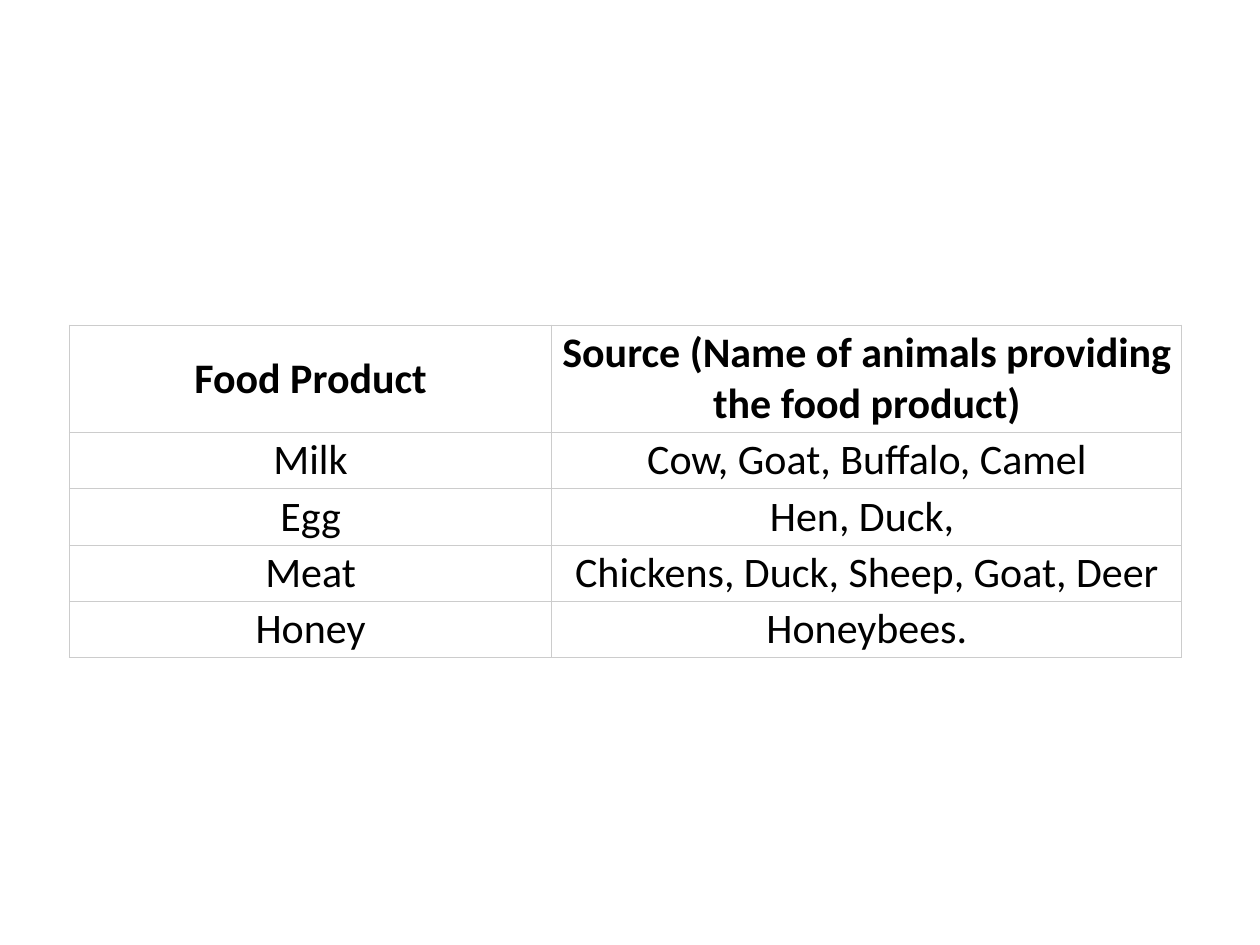
from dataclasses import dataclass

from lxml import etree
from pptx import Presentation
from pptx.dml.color import RGBColor
from pptx.enum.text import MSO_ANCHOR, PP_ALIGN
from pptx.oxml.ns import qn
from pptx.util import Inches, Pt

CENTER = PP_ALIGN.CENTER
MIDDLE, BOTTOM = MSO_ANCHOR.MIDDLE, MSO_ANCHOR.BOTTOM


@dataclass(frozen=True)
class Theme:
    """Colours, type and line sizes of the slide."""
    font: str = "Calibri"
    size: int = 24
    text: str = "000000"
    paper: str = "FFFFFF"
    border: str = "CCCCCC"
    border_width: float = 0.75
    inset: float = 0.02


THEME = Theme()
FOODS = [
    ("Food Product", "Source (Name of animals providing the food product)"),
    ("Milk", "Cow, Goat, Buffalo, Camel"),
    ("Egg", "Hen, Duck, "),
    ("Meat", "Chickens, Duck, Sheep, Goat, Deer"),
    ("Honey", "Honeybees."),
]
COL_WIDTHS = (3.83, 5)
HEADER_HEIGHT, ROW_HEIGHT = 0.84, 0.43


def add_borders(cell):
    """Draw a thin line on all four sides of a cell."""
    tcPr = cell._tc.get_or_add_tcPr()
    for side in ("a:lnL", "a:lnR", "a:lnT", "a:lnB"):
        ln = etree.SubElement(tcPr, qn(side), w=str(Pt(THEME.border_width)))
        fill = etree.SubElement(ln, qn("a:solidFill"))
        etree.SubElement(fill, qn("a:srgbClr"), val=THEME.border)


def fill_cell(cell, text, bold, anchor):
    """Write centred text into a bordered cell."""
    add_borders(cell)
    cell.fill.solid()
    cell.fill.fore_color.rgb = RGBColor.from_string(THEME.paper)
    cell.margin_left = cell.margin_right = Inches(THEME.inset)
    cell.margin_top = cell.margin_bottom = Inches(THEME.inset)
    cell.vertical_anchor = anchor
    p = cell.text_frame.paragraphs[0]
    p.alignment = CENTER
    r = p.add_run()
    r.text = text
    r.font.name = THEME.font
    r.font.size = Pt(THEME.size)
    r.font.bold = bold
    r.font.color.rgb = RGBColor.from_string(THEME.text)


def add_food_table(s, left, top, width, height):
    """Place the table of food products and their animal sources."""
    table = s.shapes.add_table(
        len(FOODS), len(COL_WIDTHS),
        Inches(left), Inches(top), Inches(width), Inches(height)).table
    for column, col_width in zip(table.columns, COL_WIDTHS):
        column.width = Inches(width * col_width / sum(COL_WIDTHS))
    for i, texts in enumerate(FOODS):
        header = i == 0
        table.rows[i].height = Inches(HEADER_HEIGHT if header else ROW_HEIGHT)
        for j, text in enumerate(texts):
            anchor = MIDDLE if header and j == 0 else BOTTOM
            fill_cell(table.cell(i, j), text, header, anchor)


def main():
    """Build and save the slide."""
    prs = Presentation()
    prs.slide_width, prs.slide_height = Inches(10), Inches(7.5)
    s = prs.slides.add_slide(prs.slide_layouts[6])
    height = HEADER_HEIGHT + ROW_HEIGHT * (len(FOODS) - 1)
    add_food_table(s, 0.55, 2.58, sum(COL_WIDTHS), height)
    prs.save("out.pptx")


if __name__ == "__main__":
    main()
